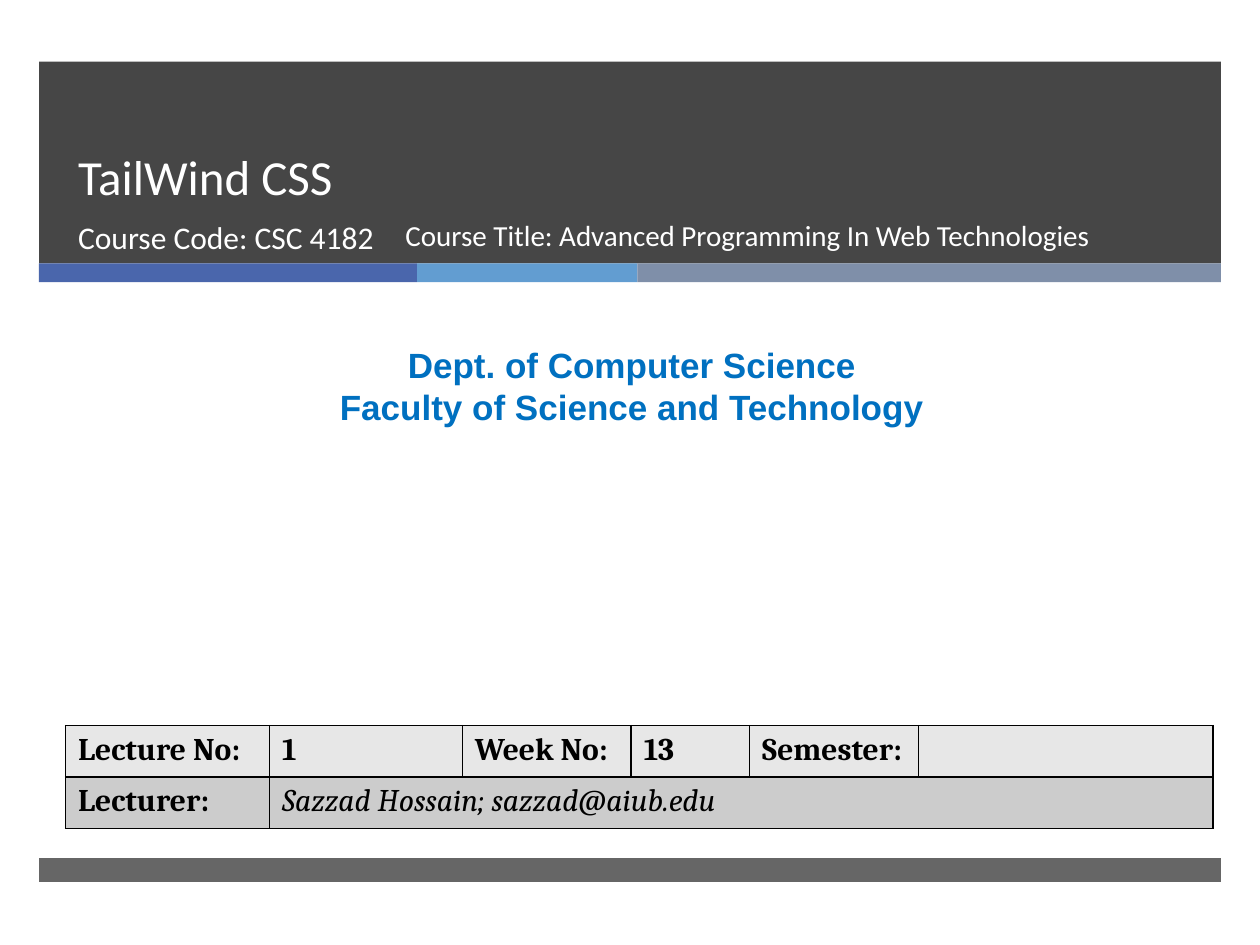
from lxml import etree
from pptx import Presentation
from pptx.dml.color import RGBColor
from pptx.enum.shapes import MSO_SHAPE
from pptx.enum.text import MSO_ANCHOR, MSO_AUTO_SIZE, PP_ALIGN
from pptx.oxml.ns import qn
from pptx.util import Inches, Pt

RECTANGLE = MSO_SHAPE.RECTANGLE
TOP, BOTTOM = MSO_ANCHOR.TOP, MSO_ANCHOR.BOTTOM
LEFT, CENTER = PP_ALIGN.LEFT, PP_ALIGN.CENTER
NO_AUTOFIT = MSO_AUTO_SIZE.NONE

WHITE = RGBColor(0xFF, 0xFF, 0xFF)
BLACK = RGBColor(0x00, 0x00, 0x00)
CHARCOAL = RGBColor(0x26, 0x26, 0x26)
INDIGO = RGBColor(0x4A, 0x66, 0xAC)
SKY = RGBColor(0x62, 0x9D, 0xD1)
SLATE = RGBColor(0x7F, 0x8F, 0xA9)
DEPARTMENT_BLUE = RGBColor(0x00, 0x70, 0xC0)
LIGHT_GRAY = RGBColor(0xE7, 0xE7, 0xE7)
MID_GRAY = RGBColor(0xCC, 0xCC, 0xCC)

MARGIN = 0.31
TEXT_LEFT = 0.52


class CoverSlide:
    """Hold the cover style and the slide, and add each kind of element."""

    heading = {"name": "Calibri", "size": Pt(28), "bold": False}
    course = {"name": "Calibri", "size": Pt(18), "bold": False}
    course_name = {"name": "Calibri", "size": Pt(16.6), "bold": False}
    department = {"name": "Arial", "size": Pt(20), "bold": True}
    label = {"name": "Cambria", "size": Pt(18), "bold": True}
    lecturer = {"name": "Cambria", "size": Pt(18), "bold": False, "italic": True}

    def __init__(self, presentation):
        self.slide = presentation.slides.add_slide(presentation.slide_layouts[0])

    def format_font(self, font, style, color):
        for attribute, value in style.items():
            setattr(font, attribute, value)
        font.color.rgb = color

    def fill_text(self, frame, lines, style, color=WHITE, align=LEFT, anchor=TOP, spacing=None):
        settings = {"word_wrap": True, "auto_size": NO_AUTOFIT, "vertical_anchor": anchor}
        for attribute, value in settings.items():
            setattr(frame, attribute, value)
        for index, line in enumerate(lines):
            paragraph = frame.add_paragraph() if index else frame.paragraphs[0]
            layout = {"alignment": align, "space_before": Pt(0), "line_spacing": spacing}
            for attribute, value in layout.items():
                setattr(paragraph, attribute, value)
            run = paragraph.add_run()
            run.text = line
            self.format_font(run.font, style, color)

    def band(self, left, top, width, height, color, opacity=100):
        band = self.slide.shapes.add_shape(
            RECTANGLE, Inches(left), Inches(top), Inches(width), Inches(height))
        band.shadow.inherit = False
        band.fill.solid()
        band.fill.fore_color.rgb = color
        band.line.fill.background()
        if opacity < 100:
            tint = band.element.spPr.find(f"{qn('a:solidFill')}/{qn('a:srgbClr')}")
            etree.SubElement(tint, qn("a:alpha"), val=str(opacity * 1000))

    def placeholder(self, index, left, top, width, height, line, style, **layout):
        holder = self.slide.placeholders[index]
        position = {"left": left, "top": top, "width": width, "height": height}
        for attribute, value in position.items():
            setattr(holder, attribute, Inches(value))
        self.slide.shapes.element.append(holder.element)
        self.fill_text(holder.text_frame, [line], style, **layout)

    def text(self, left, top, width, height, lines, style, **layout):
        box = self.slide.shapes.add_textbox(
            Inches(left), Inches(top), Inches(width), Inches(height))
        self.fill_text(box.text_frame, lines, style, **layout)

    def border(self, cell):
        properties = cell._tc.get_or_add_tcPr()
        for side in ("a:lnL", "a:lnR", "a:lnT", "a:lnB"):
            line = etree.SubElement(properties, qn(side), w=str(Pt(1)))
            fill = etree.SubElement(line, qn("a:solidFill"))
            etree.SubElement(fill, qn("a:srgbClr"), val=str(BLACK))

    def details_table(self, left, top, widths, heights, rows, fills):
        table = self.slide.shapes.add_table(
            len(heights), len(widths), Inches(left), Inches(top),
            Inches(sum(widths)), Inches(sum(heights))).table
        table.first_row = table.horz_banding = False
        for column, width in zip(table.columns, widths):
            column.width = Inches(width)
        for row, height, texts, color in zip(table.rows, heights, rows, fills):
            row.height = Inches(height)
            for cell, (text, style) in zip(row.cells, texts):
                self.fill_text(cell.text_frame, [text], style, color=BLACK)
            for cell in row.cells:
                self.border(cell)
                cell.fill.solid()
                cell.fill.fore_color.rgb = color
        table.cell(1, 1).merge(table.cell(1, len(widths) - 1))


def main():
    presentation = Presentation()
    presentation.slide_width, presentation.slide_height = Inches(10), Inches(7.5)
    cover = CoverSlide(presentation)

    cover.band(MARGIN, 0.49, 9.38, 1.6, CHARCOAL, opacity=85)
    stripe_left = MARGIN
    for width, color in ((3, INDIGO), (1.75, SKY), (4.63, SLATE)):
        cover.band(stripe_left, 2.09, width, 0.15, color)
        stripe_left += width
    cover.band(MARGIN, 6.81, 9.38, 0.19, CHARCOAL, opacity=70)

    cover.placeholder(0, TEXT_LEFT, 0.49, 8.54, 1.19, "TailWind CSS",
                      cover.heading, anchor=BOTTOM, spacing=Pt(46))
    cover.placeholder(1, TEXT_LEFT, 1.68, 3.05, 0.53, "Course Code: CSC 4182", cover.course)
    cover.text(0.08, 2.68, 9.87, 0.77,
               ["Dept. of Computer Science", "Faculty of Science and Technology"],
               cover.department, color=DEPARTMENT_BLUE, align=CENTER)

    lecture = [(text, cover.label) for text in
               ("Lecture No:", "1", "Week No:", "13", "Semester:")]
    lecturer = [("Lecturer:", cover.label),
                ("Sazzad Hossain; sazzad@aiub.edu", cover.lecturer)]
    cover.details_table(TEXT_LEFT, 5.76, (1.62, 1.53, 1.34, 0.94, 1.34, 2.34),
                        (0.4, 0.41), (lecture, lecturer), (LIGHT_GRAY, MID_GRAY))
    cover.text(3.12, 1.68, 5.94, 0.53,
               ["Course Title: Advanced Programming In Web Technologies"], cover.course_name)

    presentation.save("out.pptx")


if __name__ == "__main__":
    main()
